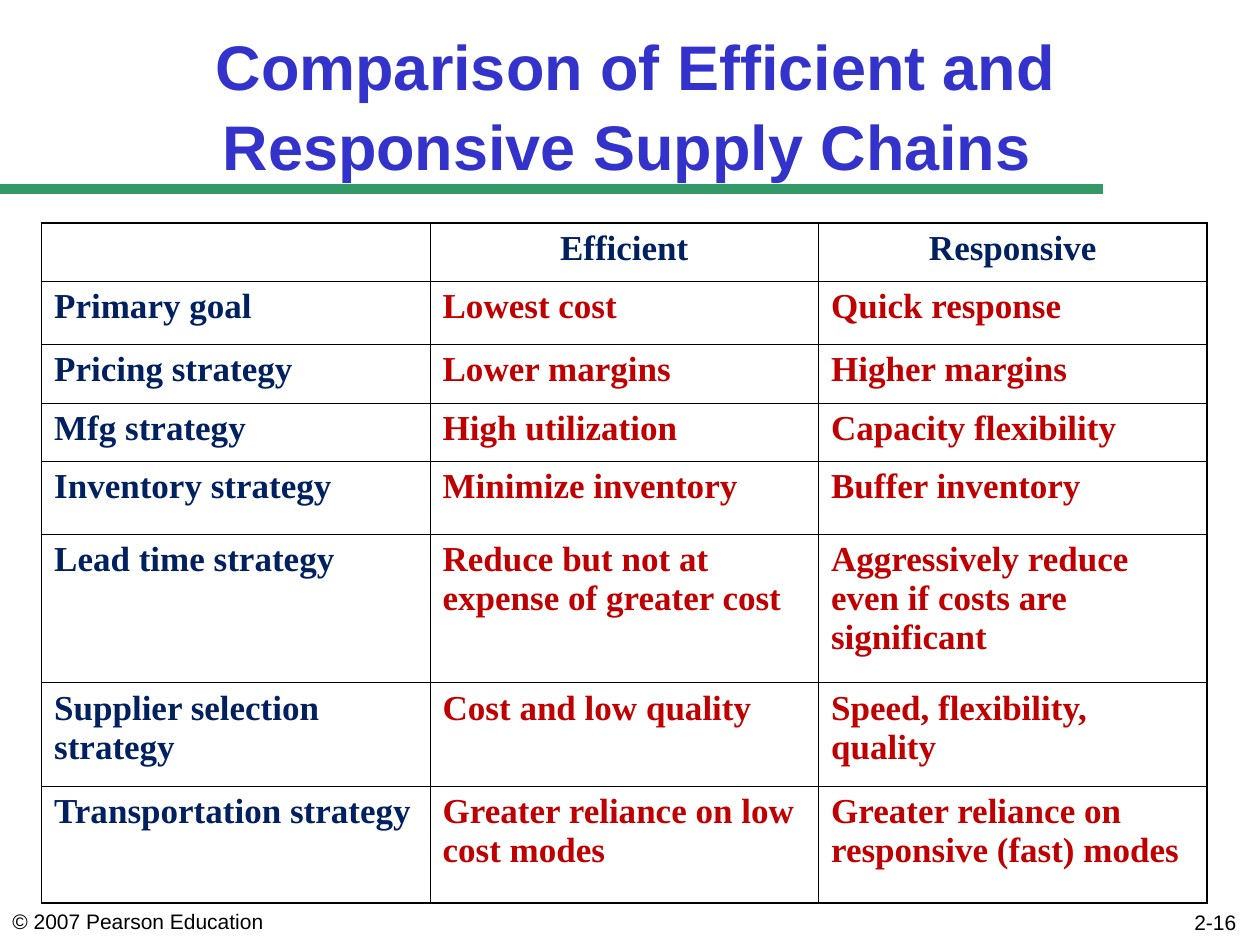
from lxml import etree
from pptx import Presentation
from pptx import util as u
from pptx.dml.color import RGBColor
from pptx.enum import shapes, text
from pptx.oxml.ns import qn

TITLE = "Comparison of Efficient and Responsive Supply Chains "
COPYRIGHT = "© 2007 Pearson Education"
PAGE = "2-16"
COMPARISON = [
    ("", "Efficient", "Responsive"),
    ("Primary goal", "Lowest cost", "Quick response"),
    ("Pricing strategy", "Lower margins", "Higher margins"),
    ("Mfg strategy", "High utilization", "Capacity flexibility"),
    ("Inventory strategy", "Minimize inventory", "Buffer inventory"),
    ("Lead time strategy", "Reduce but not at expense of greater cost",
     "Aggressively reduce even if costs are significant"),
    ("Supplier selection strategy", "Cost and low quality", "Speed, flexibility, quality"),
    ("Transportation strategy", "Greater reliance on low cost modes",
     "Greater reliance on responsive (fast) modes"),
]
ROW_HEIGHTS = [0.46, 0.5, 0.47, 0.46, 0.58, 1.18, 0.82, 0.93]
COLORS = {"title": "3333CC", "rule": "339966", "label": "002060",
          "answer": "C00000", "ink": "000000"}
OUTER, INNER = 1.08, 0.45
ALIGN = text.PP_ALIGN


def color(name):
    return RGBColor.from_string(COLORS[name])


def write(frame, words, size, ink, font="Arial", bold=False, align=ALIGN.LEFT):
    frame.word_wrap = True
    paragraph = frame.paragraphs[0]
    paragraph.alignment = align
    paragraph.font.size = u.Pt(size)
    if words:
        run = paragraph.add_run()
        run.text = words
        run.font.name, run.font.size, run.font.bold = font, u.Pt(size), bold
        run.font.color.rgb = color(ink)
    return paragraph


def add_label(slide, box, words, align):
    label = slide.shapes.add_textbox(*map(u.Inches, box))
    write(label.text_frame, words, 12, "ink", align=align)


def set_borders(cell, widths):
    """Draw the left, right, top and bottom borders, in that order."""
    properties = cell._tc.get_or_add_tcPr()
    for position, (side, width) in enumerate(zip("LRTB", widths)):
        line = etree.Element(qn(f"a:ln{side}"), w=str(u.Pt(width)))
        fill = etree.SubElement(line, qn("a:solidFill"))
        etree.SubElement(fill, qn("a:srgbClr"), val=COLORS["ink"])
        properties.insert(position, line)


def add_comparison(slide):
    rows, columns = len(COMPARISON), len(COMPARISON[0])
    box = (0.33, 1.77, 9.25, sum(ROW_HEIGHTS))
    table = slide.shapes.add_table(rows, columns, *map(u.Inches, box)).table
    table.first_row = table.horz_banding = False
    for r, (height, words) in enumerate(zip(ROW_HEIGHTS, COMPARISON)):
        table.rows[r].height = u.Inches(height)
        for c, entry in enumerate(words):
            cell = table.cell(r, c)
            cell.fill.background()
            edges = (c == 0, c == columns - 1, r == 0, r == rows - 1)
            set_borders(cell, [OUTER if edge else INNER for edge in edges])
            write(cell.text_frame, entry, 20,
                  "answer" if r and c else "label", "Times New Roman", True,
                  ALIGN.LEFT if r else ALIGN.CENTER)


def main():
    deck = Presentation()
    deck.slide_width, deck.slide_height = u.Inches(10), u.Inches(7.5)
    slide = deck.slides.add_slide(deck.slide_layouts[5])

    title = slide.shapes.title
    title.left, title.top, title.width, title.height = map(u.Inches, (0.42, 0.29, 9.25, 1.21))
    title.text_frame.auto_size = text.MSO_AUTO_SIZE.NONE
    title.text_frame.vertical_anchor = text.MSO_ANCHOR.BOTTOM
    heading = write(title.text_frame, TITLE, 36, "title", bold=True, align=ALIGN.CENTER)
    heading.line_spacing = 1.05

    rule = slide.shapes.add_connector(
        shapes.MSO_CONNECTOR.STRAIGHT, *map(u.Inches, (0, 1.5, 8.75, 1.5)))
    rule.line.color.rgb = color("rule")
    rule.line.width = u.Pt(6)
    etree.SubElement(rule.element.spPr, qn("a:effectLst"))
    title.element.addprevious(rule.element)  # the rule lies behind the title

    add_label(slide, (0, 7.16, 3.17, 0.3), COPYRIGHT, ALIGN.LEFT)
    add_label(slide, (7.83, 7.17, 2.08, 0.42), PAGE, ALIGN.RIGHT)
    add_comparison(slide)
    deck.save("out.pptx")


if __name__ == "__main__":
    main()
